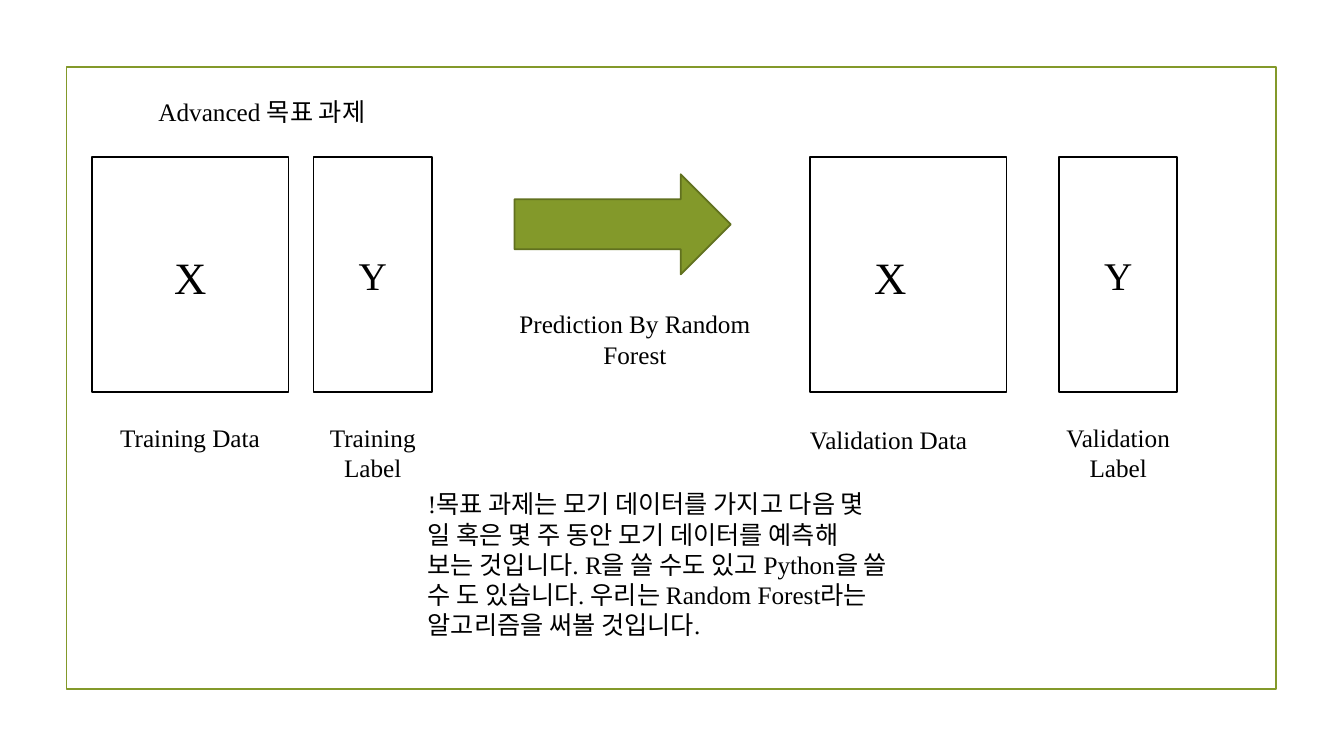
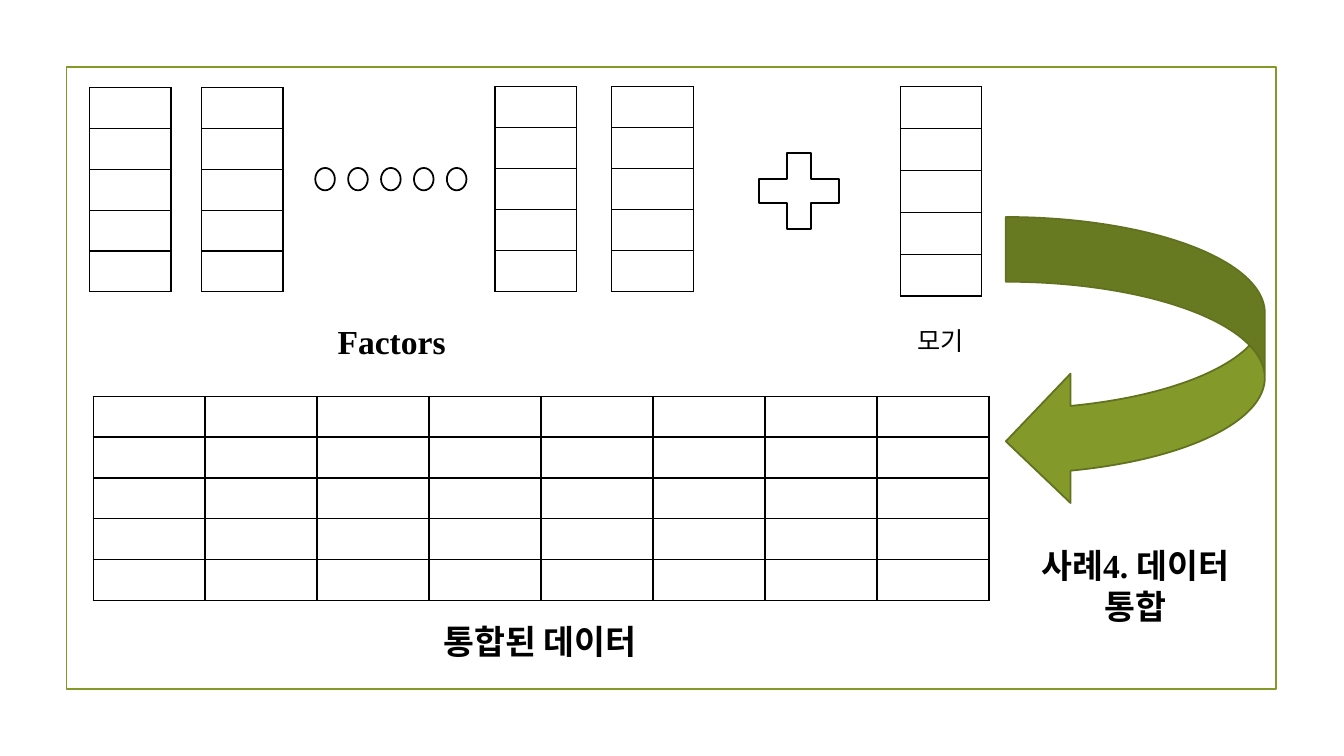
from lxml import etree
from pptx import Presentation
from pptx.dml.color import RGBColor
from pptx.enum import shapes, text
from pptx.oxml import ns
from pptx.util import Pt

COLORS = {"white": "FFFFFF", "black": "000000", "green": "83992A", "dark_green": "61711F"}
FONT = "Times New Roman"
LINE_WIDTH = 1.25
SHAPE = shapes.MSO_SHAPE
ALIGN = text.PP_ALIGN


def color(name):
    return RGBColor.from_string(COLORS[name])


def add_shape(slide, kind, left, top, width, height, fill="white", line="black"):
    shape = slide.shapes.add_shape(kind, Pt(left), Pt(top), Pt(width), Pt(height))
    shape.shadow.inherit = False
    if fill:
        shape.fill.solid()
        shape.fill.fore_color.rgb = color(fill)
    else:
        shape.fill.background()
    shape.line.color.rgb = color(line)
    shape.line.width = Pt(LINE_WIDTH)
    return shape


def add_text(slide, content, left, top, width, height, size=18, bold=False, align=ALIGN.CENTER):
    frame = slide.shapes.add_textbox(Pt(left), Pt(top), Pt(width), Pt(height)).text_frame
    frame.word_wrap = True
    frame.text = content
    for paragraph in frame.paragraphs:
        paragraph.alignment = align
        paragraph.font.size = Pt(size)
        paragraph.font.bold = bold
        paragraph.font.name = FONT
        paragraph.font.color.rgb = color("black")


def add_border(cell):
    properties = cell._tc.get_or_add_tcPr()
    for index, side in enumerate(("lnL", "lnR", "lnT", "lnB")):
        line = etree.Element(ns.qn(f"a:{side}"), w=str(Pt(1)))
        fill = etree.SubElement(line, ns.qn("a:solidFill"))
        etree.SubElement(fill, ns.qn("a:srgbClr"), val=COLORS["black"])
        properties.insert(index, line)


def add_grid(slide, left, top, column_width, row_height=29.2, columns=1, rows=5):
    """Add an empty white table with black borders."""
    table = slide.shapes.add_table(
        rows, columns, Pt(left), Pt(top), Pt(column_width * columns), Pt(row_height * rows)
    ).table
    table.first_row = table.horz_banding = False
    for column in table.columns:
        column.width = Pt(column_width)
    for row in table.rows:
        row.height = Pt(row_height)
    for cell in table.iter_cells():
        cell.fill.solid()
        cell.fill.fore_color.rgb = color("white")
        add_border(cell)


def add_framed_slide(presentation):
    slide = presentation.slides.add_slide(presentation.slide_layouts[6])
    add_shape(slide, SHAPE.RECTANGLE, 47.5, 48, 864, 444, fill=None, line="green")
    return slide


def add_data_pair(slide, data_left, label_left, x_left):
    """Add the wide X box and the narrow Y box of one data set."""
    add_shape(slide, SHAPE.RECTANGLE, data_left, 112, 140.5, 168)
    add_shape(slide, SHAPE.RECTANGLE, label_left, 112, 84.5, 168)
    add_text(slide, "X", x_left, 175, 96, 46, size=32)
    add_text(slide, "Y", label_left + 17, 176, 50.5, 41, size=28)


def build_prediction(presentation):
    slide = add_framed_slide(presentation)
    add_text(slide, "Advanced 목표 과제", 65.5, 65, 243, 29)
    add_data_pair(slide, 65.5, 224, x_left=88)
    add_text(slide, "Training Data", 65.5, 298, 140.5, 29)
    add_text(slide, "Training Label", 224, 298, 84.5, 73)
    add_shape(slide, SHAPE.RIGHT_ARROW, 367.5, 124.5, 154.5, 71.5, "green", "dark_green")
    add_data_pair(slide, 578.5, 756.5, x_left=588)
    add_text(slide, "Validation Data", 564.5, 299.5, 140.5, 29)
    add_text(slide, "Validation\nLabel", 752, 298, 93.5, 73)
    add_text(slide, "Prediction By Random Forest", 353, 217, 201, 51)
    add_text(
        slide,
        "!목표 과제는 모기 데이터를 가지고 다음 몇 일 혹은 몇 주 동안 모기 데이터를 예측해 보는 것입니다. "
        "R을 쓸 수도 있고 Python을 쓸 수 도 있습니다. 우리는 Random Forest라는 알고리즘을 써볼 것입니다.",
        298.5, 345.5, 343.5, 138, align=ALIGN.LEFT,
    )


def build_integration(presentation):
    slide = add_framed_slide(presentation)
    for left, top in ((64, 62.5), (144, 62.5), (353.5, 62), (437, 62)):
        add_grid(slide, left, top, 58.2)
    for index in range(5):
        add_shape(slide, SHAPE.FLOWCHART_CONNECTOR, 225.2 + 23.5 * index, 120, 14, 16)
    add_shape(slide, SHAPE.MATH_PLUS, 531.5, 99.5, 78.5, 74)
    add_grid(slide, 643, 62, 58.2, row_height=29.9)
    add_text(slide, "Factors", 93, 225.5, 373.5, 36, size=24, bold=True)
    add_text(slide, "모기", 648.5, 229, 58.5, 29, align=ALIGN.LEFT)
    add_grid(slide, 66.5, 283, 80, columns=8)
    add_shape(slide, SHAPE.CURVED_LEFT_ARROW, 718.5, 155, 185, 206.5, "green", "dark_green")
    add_text(slide, "통합된 데이터", 201.5, 440, 368.5, 36, size=24, bold=True)
    add_text(slide, "사례4. 데이터 통합", 722, 386, 178, 65.5, size=24, bold=True)


def main():
    presentation = Presentation()
    presentation.slide_width = Pt(960)
    presentation.slide_height = Pt(540)
    build_prediction(presentation)
    build_integration(presentation)
    presentation.save("out.pptx")


if __name__ == "__main__":
    main()
